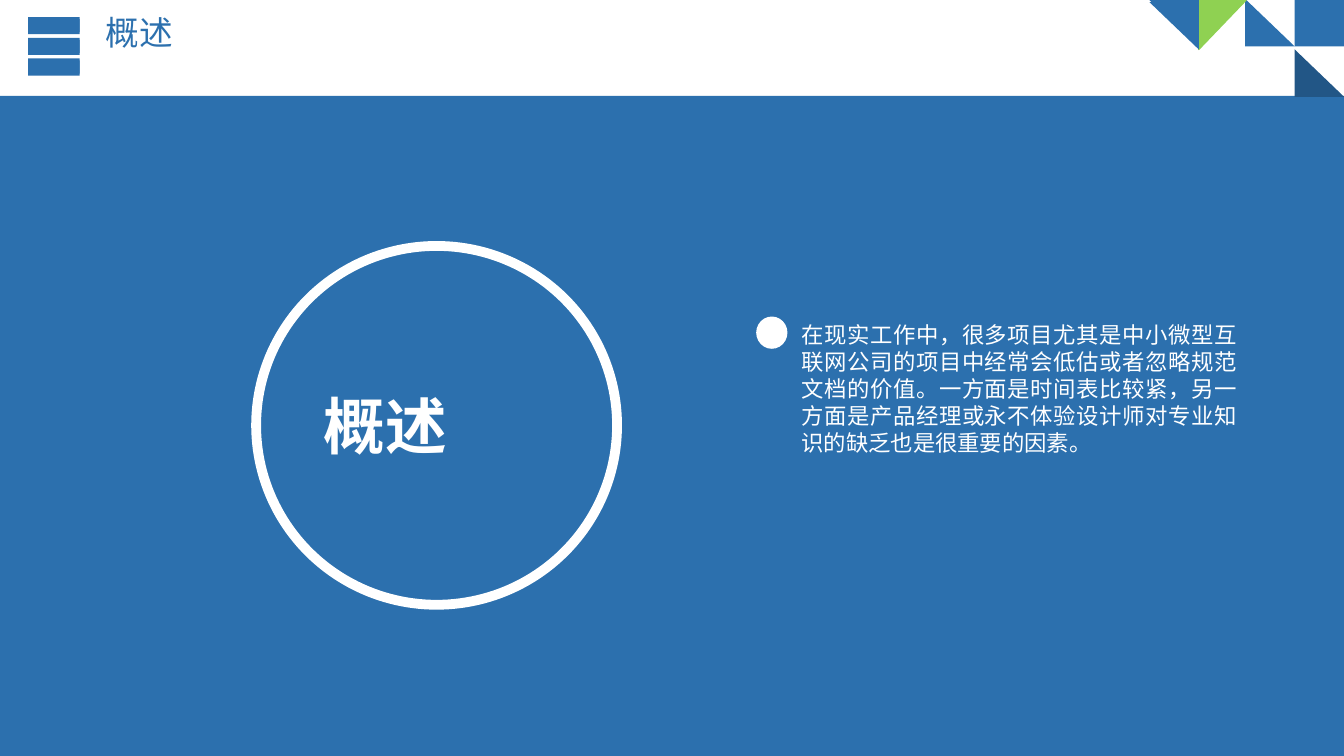
"""Build the overview slide: header band, ringed title and summary paragraph."""
import pptx
import pptx.util
import pptx.dml.color
import pptx.enum.shapes
import pptx.enum.text
import lxml.etree

BLUE, NAVY, GREEN, WHITE = "2C70AE", "225686", "8FD152", "FFFFFF"
KIND = pptx.enum.shapes.MSO_SHAPE
ALIGN = pptx.enum.text.PP_ALIGN
Inches, Pt = pptx.util.Inches, pptx.util.Pt
WIDTH, HEIGHT = 13.33, 7.5

deck = pptx.Presentation()
deck.slide_width, deck.slide_height = Inches(WIDTH), Inches(HEIGHT)
slide = deck.slides.add_slide(deck.slide_layouts[6])


def paint(target, colour):
    target.rgb = pptx.dml.color.RGBColor.from_string(colour)


def add_figure(kind, box, fill=None, line=None, weight=1, rotation=0):
    figure = slide.shapes.add_shape(kind, *map(Inches, box))
    figure.shadow.inherit = False
    figure.rotation = rotation
    if fill:
        figure.fill.solid()
        paint(figure.fill.fore_color, fill)
    else:
        figure.fill.background()
    if line:
        paint(figure.line.color, line)
        figure.line.width = Pt(weight)
    else:
        figure.line.fill.background()


band_top = 0.95
add_figure(KIND.RECTANGLE, (0, band_top, WIDTH, HEIGHT - band_top), BLUE)

tile, tile_height = 0.49, 0.47
corner_tiles = [
    (KIND.RIGHT_TRIANGLE, 1, 0.49, NAVY, None, 0),
    (KIND.RECTANGLE, 1, -0.01, BLUE, None, 0),
    (KIND.RIGHT_TRIANGLE, 2, -0.01, BLUE, None, 0),
    (KIND.RIGHT_TRIANGLE, 2.96, 0.01, GREEN, GREEN, 90),
    (KIND.RIGHT_TRIANGLE, 3.94, 0, BLUE, None, 180),
    (KIND.RIGHT_TRIANGLE, 3.94, 0.02, BLUE, None, 180),
]
for kind, column, top, fill, line, rotation in corner_tiles:
    add_figure(kind, (WIDTH - column * tile, top, tile, tile_height),
               fill, line, rotation=rotation)

for layer_top in (0.17, 0.19):
    for row in range(3):
        add_figure(KIND.RECTANGLE, (0.28, layer_top + row * 0.205, 0.51, 0.15), BLUE)

add_figure(KIND.OVAL, (2.54, 2.44, 3.58, 3.56), line=WHITE, weight=7)
add_figure(KIND.OVAL, (7.5, 3.14, 0.31, 0.32), WHITE)

summary = ("在现实工作中，很多项目尤其是中小微型互联网公司的项目中经常会低估或者忽略规范文档的价值。"
           "一方面是时间表比较紧，另一方面是产品经理或永不体验设计师对专业知识的缺乏也是很重要的因素。")
wordings = [
    ("概述", (0.95, 0.07, 0.88, 0.5), 24, "Noto Sans CJK JP", BLUE, False, ALIGN.LEFT, False),
    (summary, (7.85, 3.14, 4.52, 1.72), 16, "Noto Sans CJK SC", WHITE, False, ALIGN.JUSTIFY, True),
    ("概述", (3.11, 3.8, 1.44, 0.84), 44, "Calibri", WHITE, True, ALIGN.LEFT, False),
]
for wording, box, size, typeface, colour, bold, align, wrap in wordings:
    frame = slide.shapes.add_textbox(*map(Inches, box)).text_frame
    frame.word_wrap = wrap
    paragraph = frame.paragraphs[0]
    paragraph.text = wording
    paragraph.alignment = align
    font = paragraph.font
    font.size, font.name, font.bold = Pt(size), typeface, bold
    paint(font.color, colour)
    latin = font._element.find("{*}latin")
    east_asian = lxml.etree.Element(latin.tag.replace("latin", "ea"), typeface=typeface)
    latin.addnext(east_asian)

deck.save("out.pptx")
